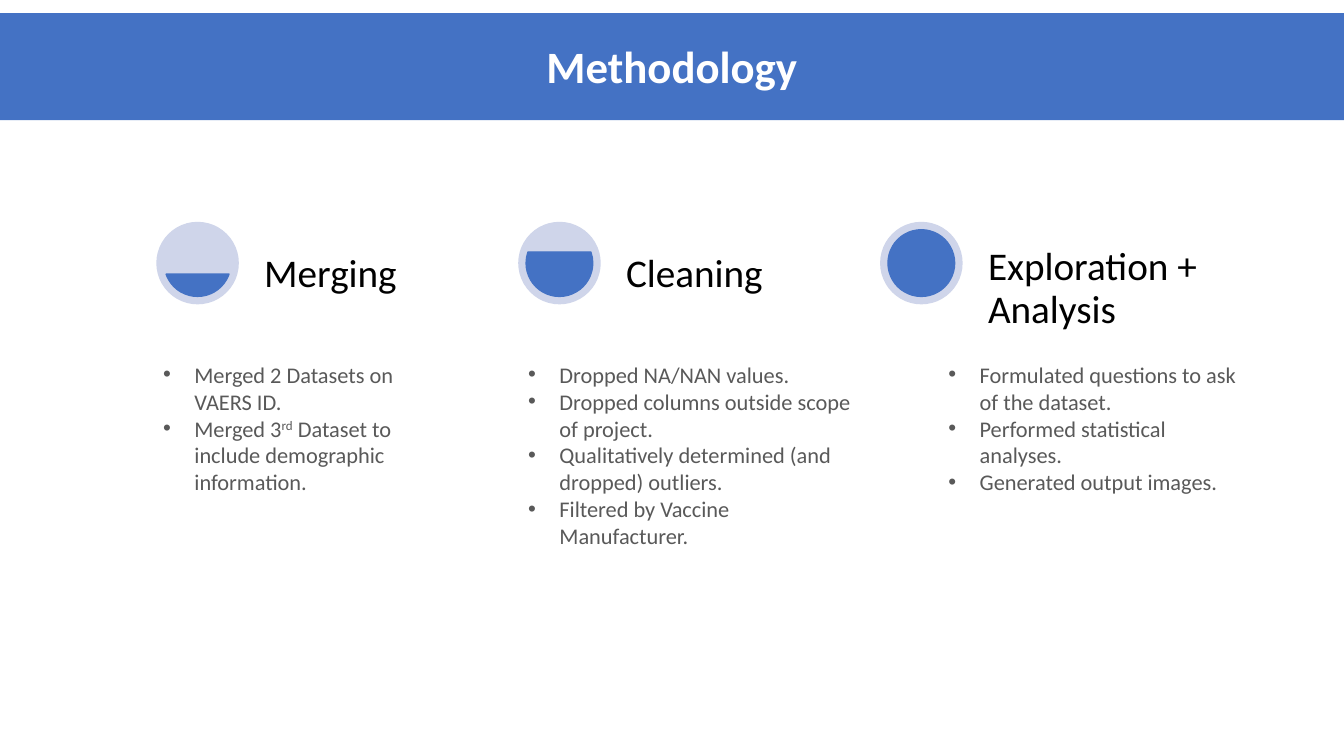
from lxml import etree
from pptx import Presentation
from pptx.dml.color import RGBColor
from pptx.enum.shapes import MSO_SHAPE
from pptx.enum.text import MSO_ANCHOR, MSO_AUTO_SIZE, PP_ALIGN
from pptx.oxml.ns import qn
from pptx.util import Cm, Pt

RECT, OVAL, CHORD = MSO_SHAPE.RECTANGLE, MSO_SHAPE.OVAL, MSO_SHAPE.CHORD
TOP, BOTTOM = MSO_ANCHOR.TOP, MSO_ANCHOR.BOTTOM
LEFT, CENTER = PP_ALIGN.LEFT, PP_ALIGN.CENTER
GROW = MSO_AUTO_SIZE.SHAPE_TO_FIT_TEXT

# Content: ^ marks the start and end of superscript text
TITLE = "Methodology"
STEPS = [
    {"name": "Merging", "chord": (11.68, 96.32), "drop": 0,
     "box": (3.86, 6.63, 3.68),
     "notes": ["Merged 2 Datasets on VAERS ID.",
               "Merged 3^rd^ Dataset to include demographic information."]},
    {"name": "Cleaning", "chord": (204.32, 119.68), "drop": 0,
     "box": (13.06, 8.94, 5.05),
     "notes": ["Dropped NA/NAN values.",
               "Dropped columns outside scope of project.",
               "Qualitatively determined (and dropped) outliers.",
               "Filtered by Vaccine Manufacturer."]},
    {"name": "Exploration + Analysis", "chord": (162, 162), "drop": 0.89,
     "box": (23.65, 7.9, 3.68),
     "notes": ["Formulated questions to ask of the dataset.",
               "Performed statistical analyses.",
               "Generated output images."]},
]
COLORS = {"blue": "4472C4", "pale": "CFD5EA", "white": "FFFFFF",
          "black": "000000", "gray": "595959"}
FONT = "Calibri"

# Layout in centimetres
WIDE, HIGH = 33.87, 19.05
START, PITCH = 3.94, 9.12
DIAL_TOP, DIAL, RIM = 5.59, 2.08, 0.2
NAME_GAP, NAME_WIDE = 2.52, 6.17
NOTE_TOP, INDENT = 8.97, 0.79


def color(key):
    return RGBColor.from_string(COLORS[key])


def add_form(slide, kind, box, fill, edge=None):
    form = slide.shapes.add_shape(kind, *map(Cm, box))
    form.shadow.inherit = False
    form.fill.solid()
    form.fill.fore_color.rgb = color(fill)
    if edge:
        form.line.color.rgb = color(edge)
        form.line.width = Pt(1)
    else:
        form.line.fill.background()
    return form


def add_box(slide, box, anchor=TOP):
    frame = slide.shapes.add_textbox(*map(Cm, box)).text_frame
    frame.word_wrap = True
    frame.vertical_anchor = anchor
    return frame


def style(para, size, key, bold=False):
    for run in para.runs:
        run.font.name = FONT
        run.font.size = Pt(size)
        run.font.bold = bold
        run.font.color.rgb = color(key)


def add_head(slide, text, box, size, key, align=LEFT, anchor=TOP, bold=False):
    frame = add_box(slide, box, anchor)
    frame.text = text
    para = frame.paragraphs[0]
    para.alignment = align
    para.line_spacing = 0.9
    style(para, size, key, bold)
    return frame


def add_bullet(para):
    props = para._p.get_or_add_pPr()
    props.set("marL", str(Cm(INDENT)))
    props.set("indent", str(-Cm(INDENT)))
    etree.SubElement(props, qn("a:buFont")).set("typeface", "Arial")
    etree.SubElement(props, qn("a:buChar")).set("char", "•")


def add_notes(slide, notes, box):
    frame = add_box(slide, box)
    frame.auto_size = GROW
    frame.text = "\n".join(note.split("^")[0] for note in notes)
    for para, note in zip(frame.paragraphs, notes):
        for i, part in enumerate(note.split("^")[1:]):
            run = para.add_run()
            run.text = part
            if i % 2 == 0:
                run._r.get_or_add_rPr().set("baseline", "30000")
        style(para, 16, "gray")
        add_bullet(para)


def add_step(slide, step, left):
    # Dial
    add_form(slide, OVAL, (left, DIAL_TOP, DIAL, DIAL), "pale")
    core = DIAL - 2 * RIM
    level = add_form(slide, CHORD, (left + RIM, DIAL_TOP + RIM, core, core),
                     "blue", "blue")
    for i, angle in enumerate(step["chord"]):
        level.adjustments[i] = angle
    # Name
    box = (left + NAME_GAP, DIAL_TOP + step["drop"], NAME_WIDE, DIAL)
    frame = add_head(slide, step["name"], box, 28, "black", anchor=BOTTOM)
    frame.margin_left = frame.margin_right = Cm(RIM)
    frame.margin_top = frame.margin_bottom = Cm(RIM)
    # Notes
    x, wide, high = step["box"]
    add_notes(slide, step["notes"], (x, NOTE_TOP, wide, high))


def main():
    deck = Presentation()
    deck.slide_width, deck.slide_height = Cm(WIDE), Cm(HIGH)
    slide = deck.slides.add_slide(deck.slide_layouts[6])
    # Banner
    add_form(slide, RECT, (0, 0.33, WIDE, 2.7), "blue")
    add_head(slide, TITLE, (2.33, 1.01, 29.21, 2.03), 32, "white",
             align=CENTER, bold=True)
    # Steps
    for i, step in enumerate(STEPS):
        add_step(slide, step, START + i * PITCH)
    deck.save("out.pptx")


if __name__ == "__main__":
    main()
